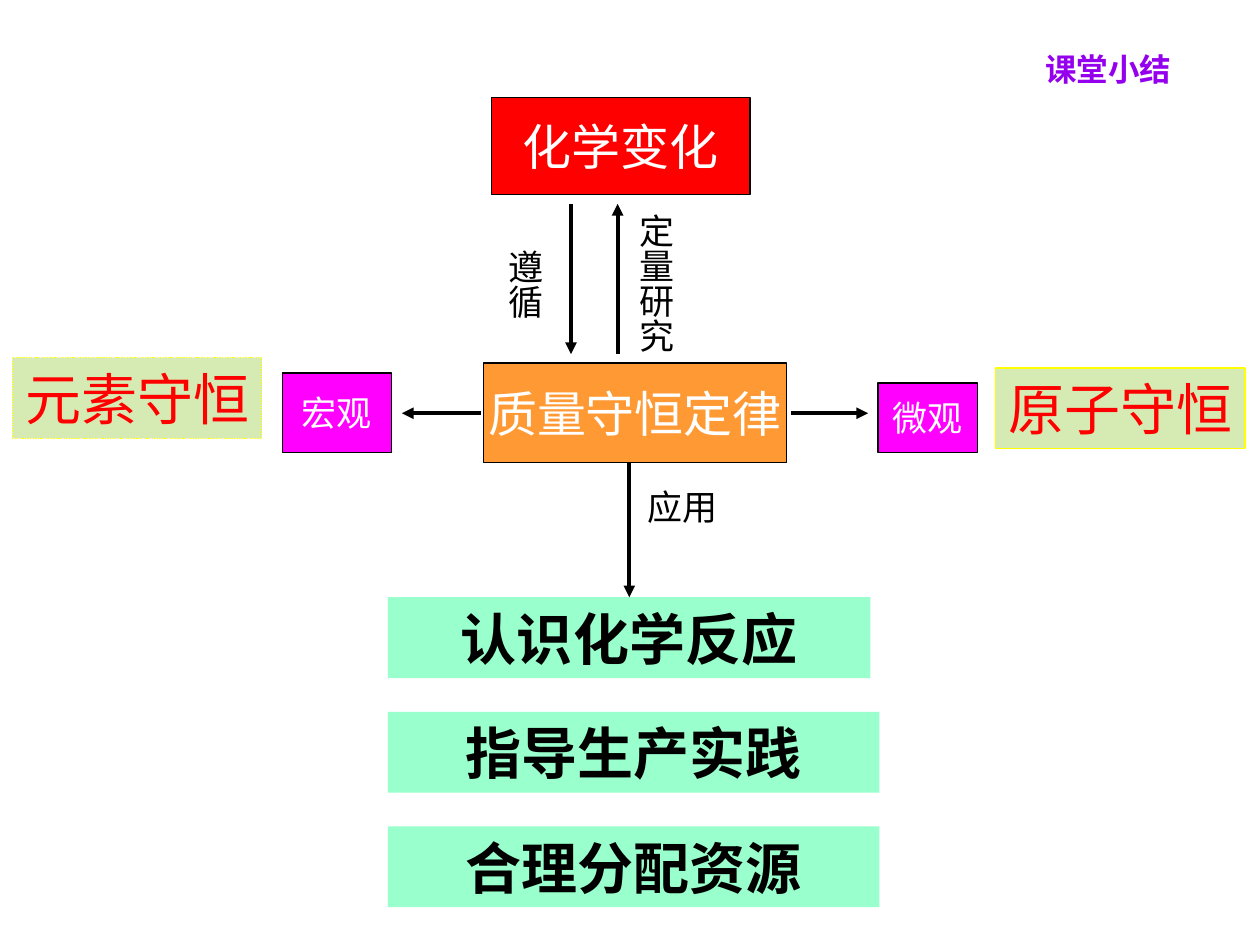
from dataclasses import dataclass

from lxml.etree import SubElement
from pptx import Presentation
from pptx.dml.color import RGBColor
from pptx.enum.dml import MSO_LINE_DASH_STYLE as Dash
from pptx.enum.shapes import MSO_CONNECTOR as Connector, MSO_SHAPE as Shape
from pptx.enum.text import MSO_ANCHOR as Anchor, MSO_AUTO_SIZE as AutoSize, PP_ALIGN as Align
from pptx.oxml.ns import qn
from pptx.util import Cm, Pt


@dataclass(frozen=True)
class Theme:
    """Colours, fonts and type sizes of the summary."""
    ink: str = "000000"
    paper: str = "FFFFFF"
    title: str = "9400ED"
    change: str = "FF0000"
    law: str = "FF9933"
    view: str = "FF00FF"
    principle: str = "D6EBB3"
    principle_edge: str = "FFFF00"
    principle_text: str = "FF0000"
    use: str = "99FFCC"
    body_font: str = "Arial"
    title_font: str = "Noto Sans CJK SC"
    title_size: int = 18
    label_size: int = 20
    concept_size: int = 28
    emphasis_size: int = 32
    edge_width: float = 0.75
    arrow_width: float = 2.25


@dataclass(frozen=True)
class Box:
    """A rectangle measured in centimetres."""
    left: float
    top: float
    width: float
    height: float

    def within(self, dx, dy, width, height):
        """Return a box placed relative to this one."""
        return Box(self.left + dx, self.top + dy, width, height)

    def lengths(self):
        """Return the position and size as slide lengths."""
        return [Cm(n) for n in (self.left, self.top, self.width, self.height)]


THEME = Theme()


def colour(code):
    """Turn a hex code into a colour."""
    return RGBColor.from_string(code)


def write(holder, words, size, ink, font=THEME.body_font, bold=False):
    """Write one centred line into a shape."""
    frame = holder.text_frame
    frame.auto_size = AutoSize.NONE
    frame.word_wrap = False
    frame.vertical_anchor = Anchor.MIDDLE
    line = frame.paragraphs[0]
    line.alignment = Align.CENTER
    run = line.add_run()
    run.text = words
    run.font.name = font
    run.font.size = Pt(size)
    run.font.bold = bold
    run.font.color.rgb = colour(ink)
    return frame


def add_block(slide, box, words, fill, size, ink=THEME.paper, edge=THEME.ink, bold=False):
    """Add a filled rectangle with its wording."""
    block = slide.shapes.add_shape(Shape.RECTANGLE, *box.lengths())
    block.shadow.inherit = False
    block.fill.solid()
    block.fill.fore_color.rgb = colour(fill)
    if edge:
        block.line.color.rgb = colour(edge)
        block.line.width = Pt(THEME.edge_width)
    else:
        block.line.fill.background()
    write(block, words, size, ink, bold=bold)
    return block


def add_label(slide, box, words, vertical=False):
    """Add a plain label, upright or running down the page."""
    label = slide.shapes.add_textbox(*box.lengths())
    frame = write(label, words, THEME.label_size, THEME.ink)
    if vertical:
        frame.margin_left = frame.margin_right = Cm(0.13)
        frame.margin_top = frame.margin_bottom = Cm(0.25)
        label.element.txBody.find(qn("a:bodyPr")).set("vert", "eaVert")


def add_line(slide, box, start, end, head=True):
    """Add a straight line between two points of a box."""
    points = [Cm(n) for x, y in (start, end) for n in (box.left + x, box.top + y)]
    link = slide.shapes.add_connector(Connector.STRAIGHT, *points)
    link.line.color.rgb = colour(THEME.ink)
    link.line.width = Pt(THEME.arrow_width)
    properties = link.element.spPr
    if head:
        SubElement(properties.find(qn("a:ln")), qn("a:tailEnd"), type="triangle")
    SubElement(properties, qn("a:effectLst"))
    return link


def place_title(slide, box):
    """Put the heading into the title placeholder."""
    title = slide.shapes.title
    title.left, title.top, title.width, title.height = box.lengths()
    write(title, "课堂小结", THEME.title_size, THEME.title, THEME.title_font, True)
    for properties in title.element.iter(qn("a:rPr")):
        SubElement(properties, qn("a:ea"), typeface=THEME.title_font)


def place_change(slide, box):
    """Draw chemical change and its two-way link to the law."""
    add_block(slide, box.within(0, 0, box.width, 1.96), "化学变化", THEME.change, THEME.concept_size)
    add_line(slide, box, (1.6, 2.15), (1.6, 5.18))
    add_line(slide, box, (2.54, 5.18), (2.54, 2.15))
    add_label(slide, box.within(0, 2.82, 1.35, 1.68), "遵循", vertical=True)
    add_label(slide, box.within(2.64, 2.1, 1.35, 3.45), "定量研究", vertical=True)


def place_law(slide, box):
    """Draw the law with arrows to both viewpoints."""
    add_block(slide, box, "质量守恒定律", THEME.law, THEME.concept_size)
    add_line(slide, box, (-0.05, 1.01), (-1.65, 1.01))
    add_line(slide, box, (6.2, 1.01), (7.75, 1.01))


def place_viewpoint(slide, box, view, view_box, principle, principle_dx, dash=None):
    """Draw a viewpoint beside the principle it leads to."""
    add_block(slide, box.within(*view_box), view, THEME.view, THEME.label_size)
    conserved = add_block(slide, box.within(principle_dx, 0, 5.03, 1.63), principle, THEME.principle,
                          THEME.emphasis_size, THEME.principle_text, THEME.principle_edge)
    if dash:
        conserved.line.dash_style = dash


def place_uses(slide, box):
    """Draw the uses of the law below their arrow."""
    uses = (("认识化学反应", 9.73), ("指导生产实践", box.width), ("合理分配资源", box.width))
    bars = [add_block(slide, box.within(0, 2.72 + 2.31 * row, width, 1.63), words, THEME.use,
                      THEME.emphasis_size, THEME.ink, None, True)
            for row, (words, width) in enumerate(uses)]
    middle = uses[0][1] / 2
    add_line(slide, box, (middle, 0), (middle, 2.01), head=False)
    add_line(slide, box, (middle, 2.01), (middle, 2.72)).end_connect(bars[0], 0)
    add_label(slide, box.within(4.98, 0.33, 1.91, 1.12), "应用")


def main():
    """Build and save the lesson summary."""
    deck = Presentation()
    deck.slide_width, deck.slide_height = Cm(25.4), Cm(19.05)
    slide = deck.slides.add_slide(deck.slide_layouts[5])
    place_title(slide, Box(20.09, 0.53, 4.5, 1.73))
    place_change(slide, Box(9.91, 1.96, 5.21, 5.55))
    place_law(slide, Box(9.75, 7.32, 6.1, 2))
    place_viewpoint(slide, Box(0.25, 7.21, 7.65, 1.91), "宏观", (5.44, 0.31, 2.21, 1.6),
                    "元素守恒", 0, Dash.ROUND_DOT)
    place_viewpoint(slide, Box(17.7, 7.42, 7.4, 1.7), "微观", (0, 0.3, 2.01, 1.4), "原子守恒", 2.37)
    place_uses(slide, Box(7.82, 9.32, 9.91, 8.97))
    deck.save("out.pptx")


if __name__ == "__main__":
    main()
